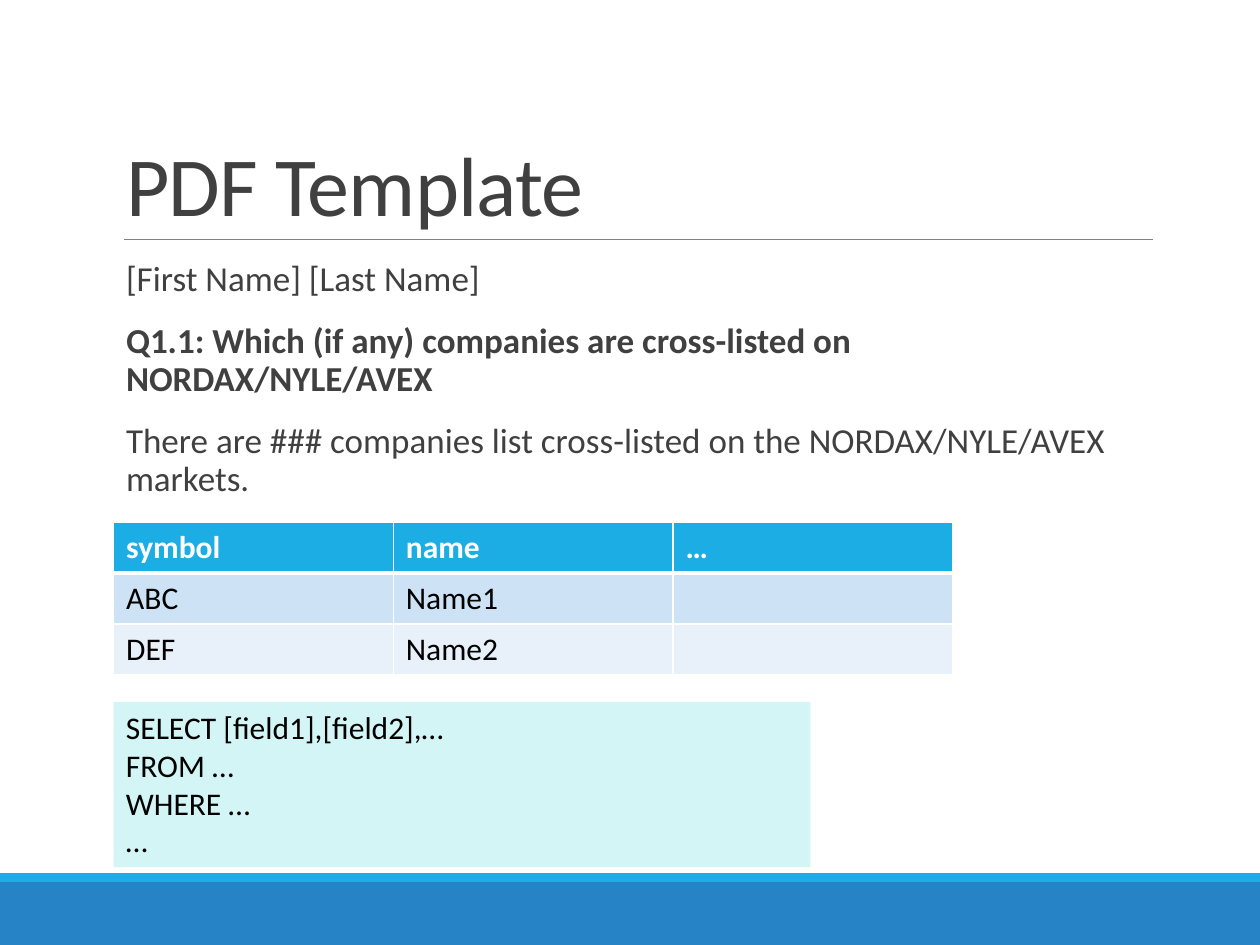
from dataclasses import dataclass

from lxml import etree
from pptx import Presentation
from pptx import util as u
from pptx.dml.color import RGBColor
from pptx.enum import shapes, text
from pptx.oxml import ns

FONT = "Calibri"
WHITE = RGBColor(0xFF, 0xFF, 0xFF)
BLACK = RGBColor(0, 0, 0)
INK = RGBColor(0x40, 0x40, 0x40)
GRAY = RGBColor(0x80, 0x80, 0x80)
BLUE = RGBColor(0x26, 0x83, 0xC6)
SKY = RGBColor(0x1C, 0xAD, 0xE4)
MINT = RGBColor(0xD3, 0xF5, 0xF6)
ROW_DARK = RGBColor(0xCD, 0xE3, 0xF5)
ROW_LIGHT = RGBColor(0xE8, 0xF1, 0xFA)

LEFT = u.Cm(2.29)
CONTENT_WIDTH = u.Cm(20.96)


@dataclass
class Block:
    left: float
    top: float
    width: float
    height: float
    fill: RGBColor


@dataclass
class Row:
    cells: tuple[str, ...]
    fill: RGBColor
    color: RGBColor = BLACK
    bold: bool = False
    bottom: float = 1


def set_font(para, size: float, color: RGBColor, bold: bool = False) -> None:
    font = para.font
    font.name, font.size, font.bold = FONT, u.Pt(size), bold
    font.color.rgb = color


def add_block(page, block: Block):
    box = page.shapes.add_shape(
        shapes.MSO_SHAPE.RECTANGLE,
        *(u.Cm(n) for n in (block.left, block.top, block.width, block.height)))
    box.shadow.inherit = False
    box.fill.solid()
    box.fill.fore_color.rgb = block.fill
    box.line.fill.background()
    return box


def place(shape, top: float, height: float) -> None:
    shape.left, shape.top = LEFT, u.Cm(top)
    shape.width, shape.height = CONTENT_WIDTH, u.Cm(height)


def add_blank_bullet(para) -> None:
    props = para._p.get_or_add_pPr()
    props.set("marL", str(u.Cm(0.25)))
    props.set("indent", str(-u.Cm(0.25)))
    color = etree.SubElement(props, ns.qn("a:buClr"))
    etree.SubElement(color, ns.qn("a:srgbClr"), val=str(SKY))
    etree.SubElement(props, ns.qn("a:buChar"), char=" ")


def set_borders(cell, bottom: float) -> None:
    props = cell._tc.get_or_add_tcPr()
    for index, (side, width) in enumerate(
            (("L", 1), ("R", 1), ("T", 1), ("B", bottom))):
        line = etree.Element(ns.qn(f"a:ln{side}"), w=str(u.Pt(width)))
        fill = etree.SubElement(line, ns.qn("a:solidFill"))
        etree.SubElement(fill, ns.qn("a:srgbClr"), val=str(WHITE))
        props.insert(index, line)


def add_table(page, rows: list[Row]) -> None:
    count = len(rows[0].cells)
    table = page.shapes.add_table(
        len(rows), count, LEFT, u.Cm(10.52),
        u.Cm(5.64 * count), u.Cm(1.02 * len(rows))).table
    for r, row in enumerate(rows):
        for c, words in enumerate(row.cells):
            cell = table.cell(r, c)
            cell.fill.solid()
            cell.fill.fore_color.rgb = row.fill
            cell.text = words
            set_font(cell.text_frame.paragraphs[0], 18, row.color, row.bold)
            set_borders(cell, row.bottom)


deck = Presentation()
deck.slide_width, deck.slide_height = u.Cm(25.4), u.Cm(19.05)
page = deck.slides.add_slide(deck.slide_layouts[1])

# Footer bands
for band in (Block(0, 17.78, 25.4, 1.27, BLUE), Block(0, 17.6, 25.4, 0.18, SKY)):
    add_block(page, band)

# Rule under the title
rule = page.shapes.add_connector(
    shapes.MSO_CONNECTOR.STRAIGHT, u.Cm(2.49), u.Cm(4.83), u.Cm(23.24), u.Cm(4.83))
rule.line.color.rgb = GRAY
rule.line.width = u.Pt(0.5)
etree.SubElement(rule._element.spPr, ns.qn("a:effectLst"))

# Title
title = page.shapes.title
place(title, 0.79, 4.04)
title.text_frame.text = "PDF Template"
title.text_frame.vertical_anchor = text.MSO_ANCHOR.BOTTOM
title.text_frame.auto_size = text.MSO_AUTO_SIZE.NONE
para = title.text_frame.paragraphs[0]
para.alignment = text.PP_ALIGN.LEFT
para.line_spacing = 0.85
set_font(para, 48, INK)
para.runs[0]._r.get_or_add_rPr().set("spc", "-50")

# Body text
body = page.placeholders[1]
place(body, 5.13, 11.18)
frame = body.text_frame
frame.margin_left = frame.margin_right = 0
frame.auto_size = text.MSO_AUTO_SIZE.NONE
frame.text = "\n".join((
    "[First Name] [Last Name]",
    "Q1.1: Which (if any) companies are cross-listed on NORDAX/NYLE/AVEX",
    "There are ### companies list cross-listed on the NORDAX/NYLE/AVEX markets.",
))
for para in frame.paragraphs:
    para.line_spacing = 0.9
    para.space_before, para.space_after = u.Pt(12), u.Pt(2)
    add_blank_bullet(para)
    set_font(para, 20, INK, bold=para.text.startswith("Q1.1"))

# Result table
add_table(page, [
    Row(("symbol", "name", "…"), SKY, WHITE, True, 3),
    Row(("ABC", "Name1", ""), ROW_DARK),
    Row(("DEF", "Name2", ""), ROW_LIGHT),
])

# Query box
query = add_block(page, Block(2.29, 14.15, 14.05, 3.33, MINT))
query.text_frame.word_wrap = True
query.text_frame.auto_size = text.MSO_AUTO_SIZE.SHAPE_TO_FIT_TEXT
query.text_frame.vertical_anchor = text.MSO_ANCHOR.TOP
query.text_frame.text = "SELECT [field1],[field2],…\nFROM …\nWHERE …\n…"
for para in query.text_frame.paragraphs:
    para.alignment = text.PP_ALIGN.LEFT
    set_font(para, 18, BLACK)

deck.save("out.pptx")
